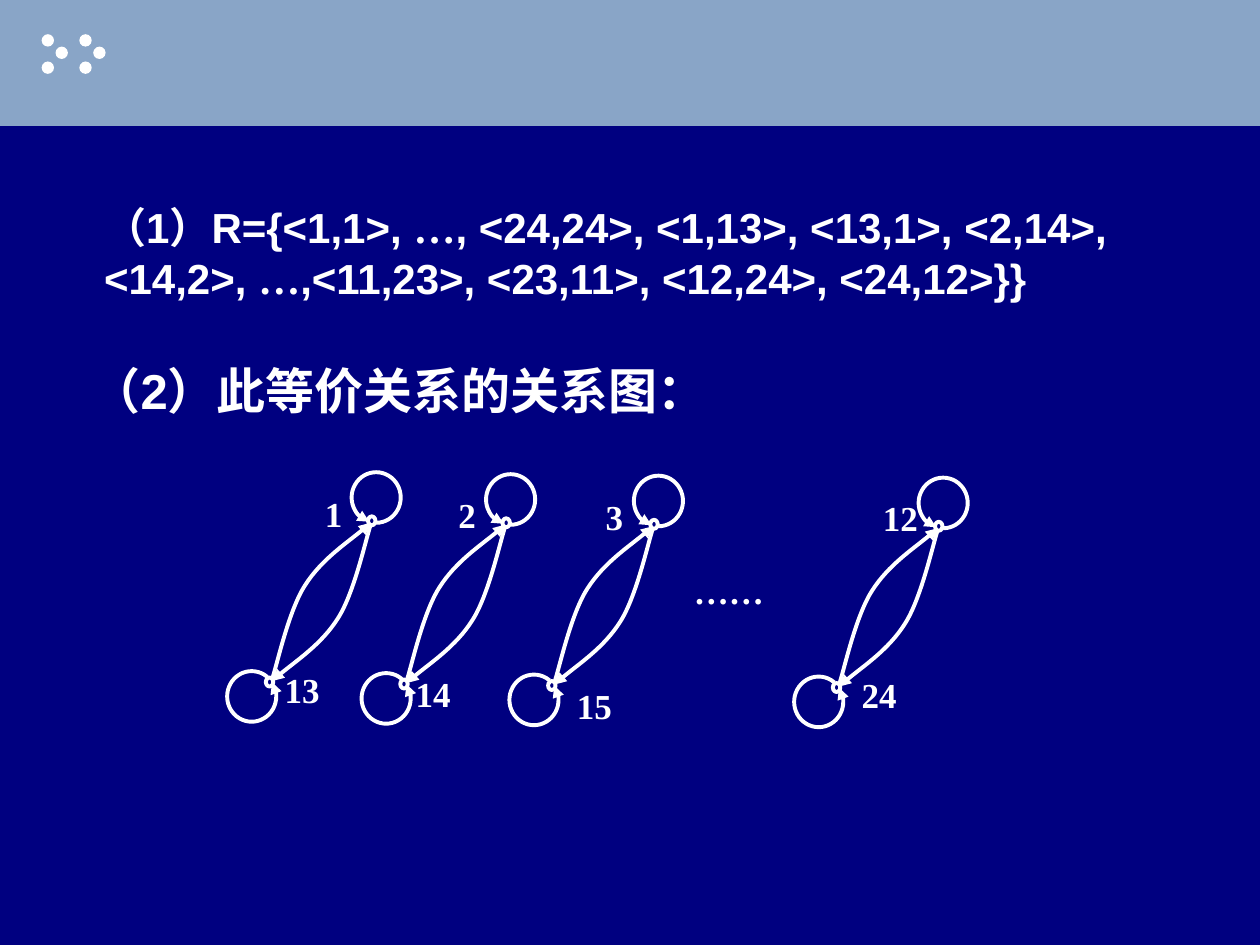
"""Build a slide showing an equivalence relation and its graph."""
from dataclasses import dataclass

from lxml.etree import SubElement
from pptx import Presentation
from pptx.dml.color import RGBColor
from pptx.enum.shapes import MSO_SHAPE
from pptx.oxml.ns import qn
from pptx.shapes.autoshape import Shape
from pptx.slide import Slide
from pptx.util import Cm, Pt

COLORS = {"back": "000080", "band": "89A5C7", "ink": "FFFFFF"}
SANS, SERIF = "Arial", "Times New Roman"
WIDE, HIGH = 1.98, 3.14
BEND = [(1.98, 0), (1.88, 0.3), (1.65, 1.37), (1.32, 1.88),
        (0.99, 2.4), (0.28, 2.87), (0, 3.14)]


@dataclass
class Label:
    text: str
    left: float
    top: float
    width: float = 1.55
    height: float = 1.4
    size: int = 20
    font: str = SERIF


@dataclass
class Pair:
    left: float
    top: float
    upper: Label
    lower: Label


PAIRS = [
    Pair(7.42, 10.41, Label("1", 6.3, 9.8), Label("13", 5.49, 13.36)),
    Pair(10.13, 10.45, Label("2", 8.99, 9.83), Label("14", 8.13, 13.44)),
    Pair(13.11, 10.48, Label("3", 11.96, 9.86), Label("15", 11.38, 13.67)),
    Pair(18.85, 10.52, Label("12", 17.55, 9.88), Label("24", 17.12, 13.46)),
]
RULE = ["（1）R={<1,1>, ", "…", ", <24,24>, <1,13>, <13,1>, <2,14>, <14,2>, ",
        "…", ",<11,23>, <23,11>, <12,24>, <24,12>}}"]


def color(name: str) -> RGBColor:
    """Return a named colour."""
    return RGBColor.from_string(COLORS[name])


def solid(slide: Slide, kind: MSO_SHAPE, box: tuple, fill: str) -> None:
    """Draw a filled shape without a line."""
    shape = slide.shapes.add_shape(kind, *map(Cm, box))
    shape.shadow.inherit = False
    shape.fill.solid()
    shape.fill.fore_color.rgb = color(fill)
    shape.line.fill.background()


def stroke(shape: Shape, end: str = "") -> None:
    """Give a shape a plain line, with an arrowhead at the named end."""
    shape.shadow.inherit = False
    shape.fill.background()
    shape.line.color.rgb = color("ink")
    shape.line.width = Pt(2.25)
    if end:
        SubElement(shape.line._get_or_add_ln(), qn(f"a:{end}"), type="triangle")


def node(slide: Slide, left: float, top: float) -> None:
    """Draw a small ring for a graph node."""
    box = map(Cm, (left, top, 0.15, 0.18))
    stroke(slide.shapes.add_shape(MSO_SHAPE.OVAL, *box))


def loop(slide: Slide, left: float, top: float, start: int, stop: int) -> None:
    """Draw a self loop as an arc between two angles in degrees."""
    box = map(Cm, (left, top, 0.99, 1.02))
    shape = slide.shapes.add_shape(MSO_SHAPE.ARC, *box)
    shape.adjustments[0] = start * 0.6
    shape.adjustments[1] = stop * 0.6
    stroke(shape, "headEnd")


def curve(slide: Slide, left: float, top: float, points: list) -> None:
    """Draw an arrow along cubic curves."""
    spots = [(Cm(left + x), Cm(top + y)) for x, y in points]
    pen = slide.shapes.build_freeform(*spots[0])
    pen.add_line_segments(spots[1:], close=False)
    shape = pen.convert_to_shape()
    steps = shape._element.xpath(".//a:lnTo")
    for first in range(0, len(steps), 3):
        owner = steps[first].getparent()
        cubic = SubElement(owner, qn("a:cubicBezTo"))
        for step in steps[first:first + 3]:
            cubic.append(step[0])
            owner.remove(step)
    stroke(shape, "tailEnd")


def write(slide: Slide, label: Label, parts: list | None = None) -> None:
    """Write a label, or parts that switch between the two fonts."""
    box = map(Cm, (label.left, label.top, label.width, label.height))
    frame = slide.shapes.add_textbox(*box).text_frame
    frame.word_wrap = True
    para = frame.paragraphs[0]
    font = para.font
    font.size, font.bold = Pt(label.size), True
    font.color.rgb = color("ink")
    if not parts:
        font.name = label.font
    for index, text in enumerate(parts or [label.text]):
        run = para.add_run()
        run.text = text
        if parts:
            run.font.name = SERIF if index % 2 else SANS


def graph(slide: Slide, pair: Pair) -> None:
    """Draw two related nodes with their arrows and labels."""
    left, top = pair.left, pair.top
    node(slide, left, top)
    node(slide, left - 2.06, top + 3.25)
    curve(slide, left - 1.93, top + 0.18, BEND)
    curve(slide, left - 1.93, top + 0.13, [(WIDE - x, HIGH - y) for x, y in BEND])
    loop(slide, left - 0.33, top - 0.89, 106, 90)
    loop(slide, left - 2.84, top + 3.12, 325, 309)
    write(slide, pair.upper)
    write(slide, pair.lower)


def main() -> None:
    """Build and save the slide."""
    deck = Presentation()
    deck.slide_width, deck.slide_height = Cm(25.4), Cm(19.05)
    slide = deck.slides.add_slide(deck.slide_layouts[6])
    slide.background.fill.solid()
    slide.background.fill.fore_color.rgb = color("back")
    solid(slide, MSO_SHAPE.RECTANGLE, (0, 0, 25.4, 2.54), "band")
    for shift in (0, 0.76):
        for x, y in ((0.84, 0.69), (1.12, 0.94), (0.84, 1.24)):
            solid(slide, MSO_SHAPE.OVAL, (x + shift, y, 0.25, 0.25), "ink")
    write(slide, Label("（2）此等价关系的关系图：", 1.6, 7.14, 19, 1.45, 28, SANS))
    write(slide, Label("", 1.85, 3.94, 22.5, 2.29, 24), RULE)
    for pair in PAIRS:
        graph(slide, pair)
    write(slide, Label("……", 13.74, 11.35, 2.59, 1.85))
    deck.save("out.pptx")


if __name__ == "__main__":
    main()
